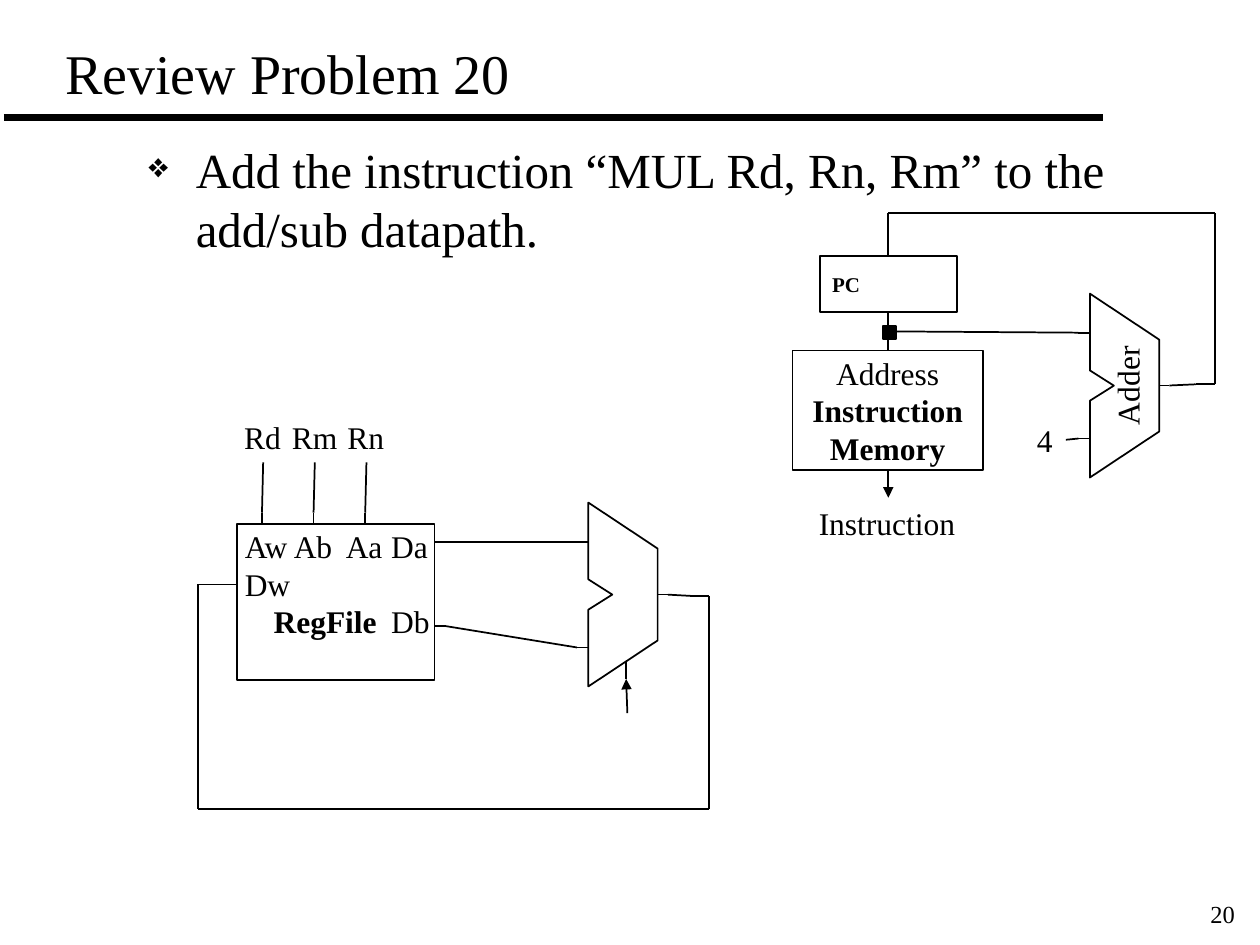
import pptx
import pptx.util
import pptx.dml.color
import pptx.enum.shapes
import pptx.enum.text
import pptx.oxml.ns
from lxml import etree

Pt = pptx.util.Pt
qn = pptx.oxml.ns.qn
MSO_SHAPE = pptx.enum.shapes.MSO_SHAPE
ALIGN = pptx.enum.text.PP_ALIGN
ANCHOR = pptx.enum.text.MSO_ANCHOR

FONT = "Times New Roman"
BLACK = "000000"
WHITE = "FFFFFF"
INSETS = (7.2, 3.6, 7.2, 3.6)


def rgb(color):
    return pptx.dml.color.RGBColor.from_string(color)


def add_run(p, text, size=18, bold=False):
    r = p.add_run()
    r.text = text
    r.font.name = FONT
    r.font.size = Pt(size)
    r.font.bold = bold
    r.font.color.rgb = rgb(BLACK)
    return r


def set_text(sp, text, size=18, bold_lines=(), align=ALIGN.LEFT,
             anchor=ANCHOR.TOP, wrap=False, insets=INSETS):
    tf = sp.text_frame
    tf.word_wrap = wrap
    tf.vertical_anchor = anchor
    tf.margin_left, tf.margin_top, tf.margin_right, tf.margin_bottom = map(Pt, insets)
    for i, line in enumerate(text.split("\n")):
        p = tf.add_paragraph() if i else tf.paragraphs[0]
        p.alignment = align
        add_run(p, line, size, i in bold_lines)
    return tf


def label(s, x, y, w, h, text, **fmt):
    sp = s.shapes.add_textbox(Pt(x), Pt(y), Pt(w), Pt(h))
    return set_text(sp, text, **fmt)


def style(sp, fill):
    sp.shadow.inherit = False
    sp.fill.solid()
    sp.fill.fore_color.rgb = rgb(fill)
    sp.line.color.rgb = rgb(BLACK)
    sp.line.width = Pt(1)


def block(s, x, y, w, h, fill=WHITE):
    sp = s.shapes.add_shape(MSO_SHAPE.RECTANGLE, Pt(x), Pt(y), Pt(w), Pt(h))
    style(sp, fill)
    return sp


def wire(s, x, y, points, width=1, arrow=False):
    for (x1, y1), (x2, y2) in zip(points, points[1:]):
        c = s.shapes.add_connector(pptx.enum.shapes.MSO_CONNECTOR.STRAIGHT,
                                   Pt(x + x1), Pt(y + y1), Pt(x + x2), Pt(y + y2))
        c.line.color.rgb = rgb(BLACK)
        c.line.width = Pt(width)
        etree.SubElement(c._element.spPr, qn("a:effectLst"))
    if arrow:
        etree.SubElement(c.line._get_or_add_ln(), qn("a:tailEnd"), type="triangle")


def add_tabs(p, stops):
    tabs = etree.SubElement(p._p.get_or_add_pPr(), qn("a:tabLst"))
    for stop in stops:
        etree.SubElement(tabs, qn("a:tab"), pos=str(Pt(stop)), algn="l")


def alu(s, x, y, text=None):
    outline = [(0, 0), (39.6, 26.3), (39.6, 78.8), (0, 105.1),
               (0, 61.2), (13.7, 52.6), (0, 43.9)]
    points = [(Pt(x + dx), Pt(y + dy)) for dx, dy in outline]
    fb = s.shapes.build_freeform(*points[0])
    fb.add_line_segments(points[1:], close=True)
    style(fb.convert_to_shape(), WHITE)
    if text:
        tf = label(s, x + 6.8, y + 22.6, 28.8, 60, text, align=ALIGN.CENTER,
                   anchor=ANCHOR.MIDDLE, insets=(0, 0, 0, 0))
        tf._txBody.bodyPr.set("vert", "vert270")


def header(s, x, y, w, h):
    wire(s, 0, 67, [(2.2, 0), (630, 0)], width=4)
    label(s, x, y, w, h, "Review Problem 20", size=32, anchor=ANCHOR.BOTTOM, wrap=True)


def body(s, x, y, w, h):
    tf = label(s, x, y, w, h,
               "Add the instruction “MUL Rd, Rn, Rm” to the add/sub datapath.",
               size=28, wrap=True)
    pPr = tf.paragraphs[0]._p.get_or_add_pPr()
    pPr.set("marL", str(Pt(27)))
    pPr.set("indent", str(-Pt(27)))
    clr = etree.SubElement(pPr, qn("a:buClr"))
    etree.SubElement(clr, qn("a:srgbClr"), val=BLACK)
    etree.SubElement(pPr, qn("a:buSzPct"), val="70000")
    etree.SubElement(pPr, qn("a:buChar"), char="❖")


def register_file(s, x, y):
    sp = block(s, x + 22.3, y + 64.1, 113, 89.3)
    tf = set_text(sp, "Aw\tAb\tAa\tDa\nDw", wrap=True, insets=(4.6, 1.6, 0, 0))
    add_tabs(tf.paragraphs[0], (28, 57.7, 83.7))
    p = tf.add_paragraph()
    p.alignment = ALIGN.LEFT
    add_tabs(p, (16.5, 83.7))
    add_run(p, "\tRegFile", bold=True)
    add_run(p, "\tDb")

    ports = [("Rd", 19.4, 36), ("Rm", 46.8, 41), ("Rn", 78.5, 36)]
    for i, (name, left, width) in enumerate(ports):
        label(s, x + left, y, width, 28.8, name)
        port = 36.7 + 29.5 * i
        wire(s, x, y, [(port + 0.7, 28.8), (port, 57.6), (port, 64.1)])

    wire(s, x, y, [(135.4, 74.2), (141.8, 74.2), (216.7, 74.2), (223.2, 74.2)])
    wire(s, x, y, [(135.4, 122.4), (141.8, 122.4), (216.7, 134.6), (223.2, 134.6)])
    wire(s, x, y, [(262.1, 104.4), (268.6, 104.4), (281.5, 105.1), (292.3, 105.1),
                   (292.3, 226.8), (281.5, 226.8), (10.1, 226.8), (0, 226.8),
                   (0, 98.6), (10.1, 98.6), (16.6, 98.6), (22.3, 98.6)])
    wire(s, x, y, [(244.8, 142.6), (244.8, 152.6)])
    wire(s, x, y, [(245.5, 172.1), (244.8, 152.6)], arrow=True)
    alu(s, x + 223.2, y + 51.8)


def instruction_fetch(s, x, y):
    mid = 54.7
    set_text(block(s, x + 15.5, y + 24.8, 78.5, 31.7), "PC", size=12,
             bold_lines=(0,), anchor=ANCHOR.MIDDLE, wrap=True)
    set_text(block(s, x, y + 78.5, 108.7, 68.4), "Address\nInstruction\nMemory",
             bold_lines=(1, 2), align=ALIGN.CENTER, anchor=ANCHOR.MIDDLE)
    wire(s, x, y, [(mid, 56.5), (mid, 64.8)])
    block(s, x + 51.8, y + 64.8, 7.2, 7.2, BLACK)
    wire(s, x, y, [(mid, 72), (mid, 78.5)])
    wire(s, x, y, [(mid, 146.9), (mid, 151.2), (mid, 162.7)], arrow=True)
    label(s, x + 7.9, y + 162.7, 93.6, 28.8, "Instruction")

    wire(s, x, y, [(59, 67.7), (163.4, 68.4), (169.9, 68.4)])
    label(s, x + 132.5, y + 115.2, 23.8, 28.8, "4")
    wire(s, x, y, [(156.2, 129.6), (163.4, 128.9), (169.9, 128.9)])
    wire(s, x, y, [(208.8, 98.6), (215.3, 98.6), (230.4, 97.9), (241.2, 97.9),
                   (241.2, 0), (230.4, 0), (65.5, 0), (mid, 0),
                   (mid, 18.7), (mid, 24.8)])
    alu(s, x + 169.9, y + 46.1, "Adder")


def main():
    prs = pptx.Presentation()
    prs.slide_width, prs.slide_height = Pt(720), Pt(540)
    s = prs.slides.add_slide(prs.slide_layouts[6])
    header(s, 30.2, 23.8, 609.1, 40.3)
    body(s, 77.8, 76.3, 612, 421.9)
    register_file(s, 113, 235.4)
    instruction_fetch(s, 452.9, 121.7)
    label(s, 682.6, 510.5, 30.2, 23.8, "20", size=14, align=ALIGN.RIGHT,
          anchor=ANCHOR.MIDDLE)
    prs.save("out.pptx")


if __name__ == "__main__":
    main()
